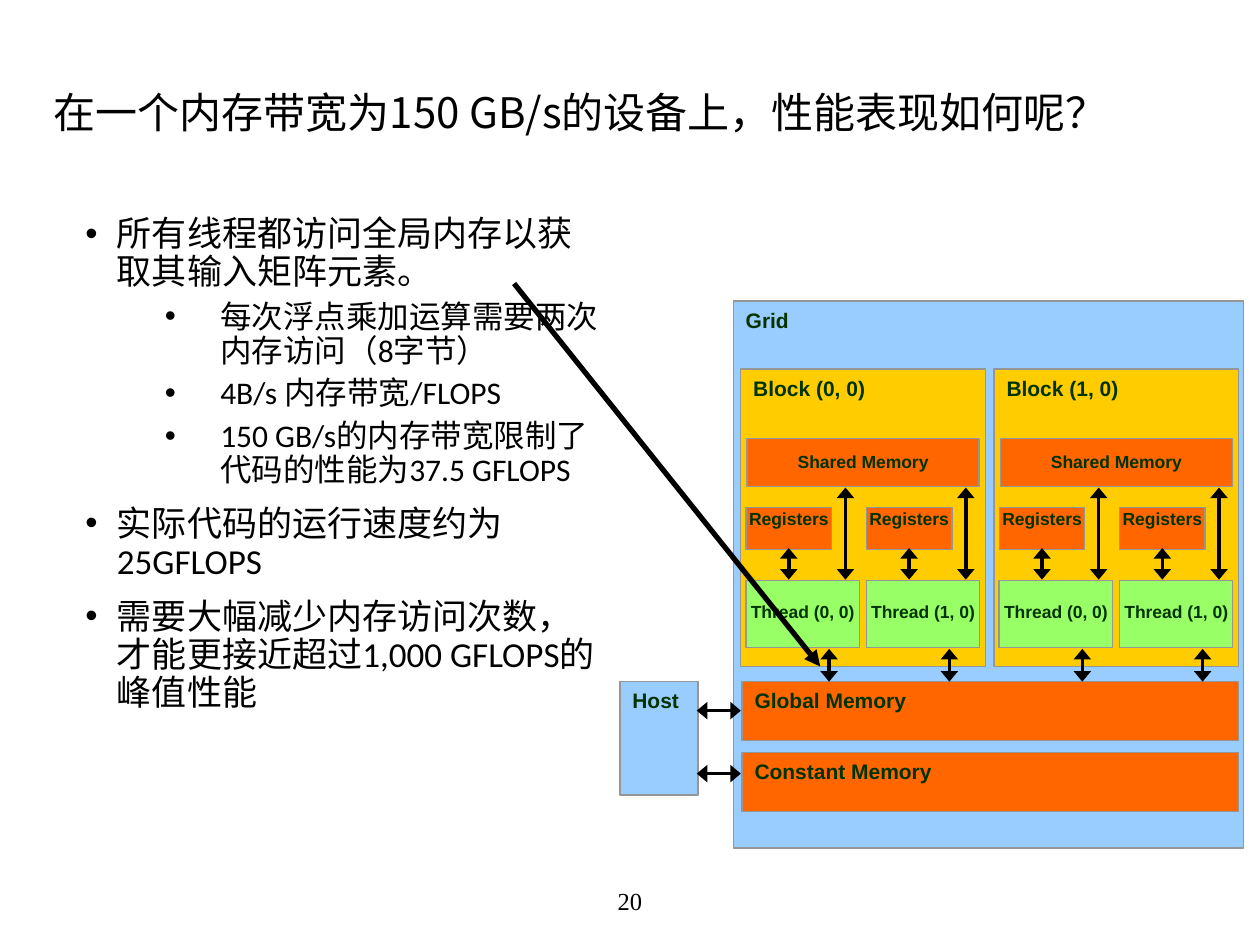
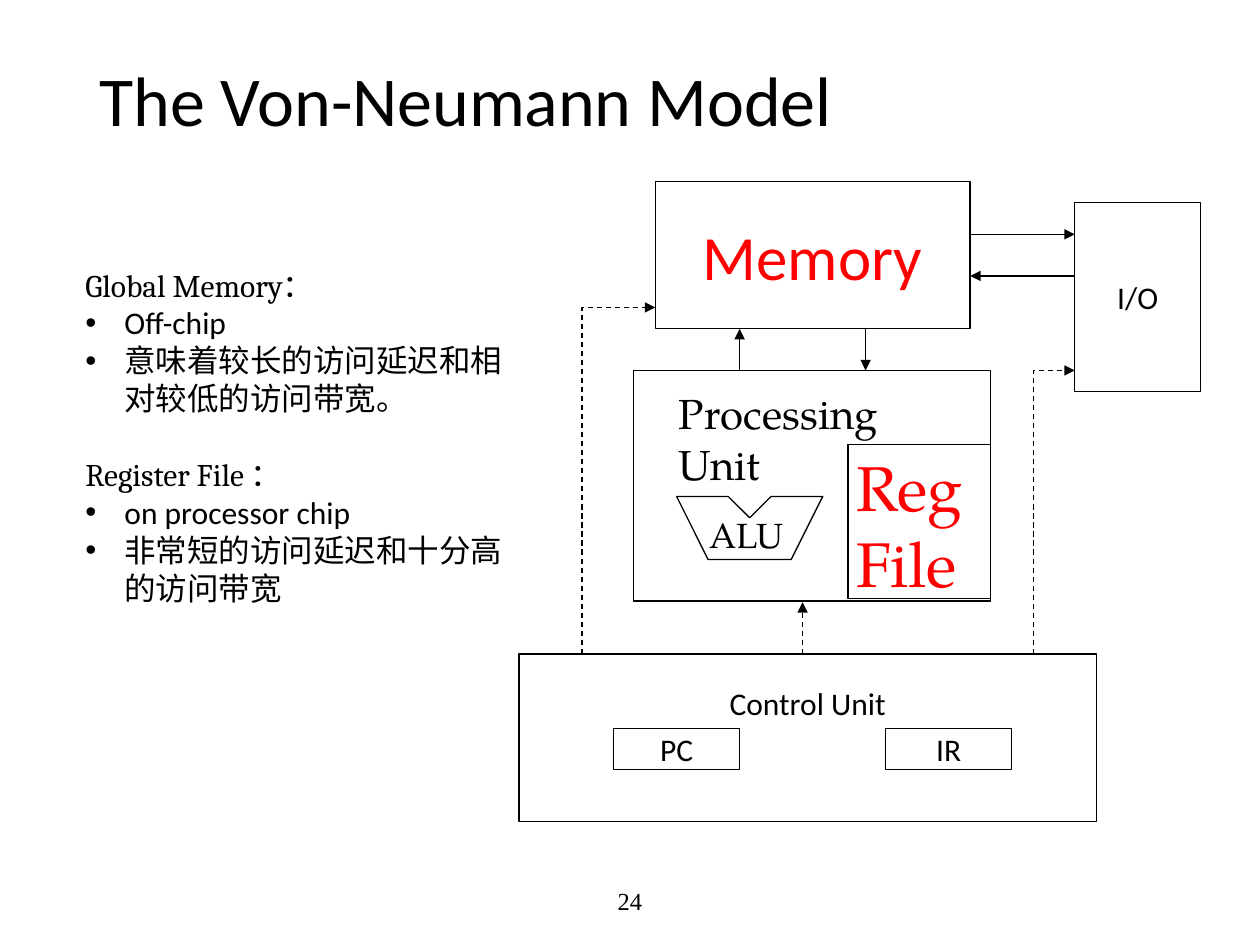
"""Build two slides on GPU memory bandwidth and the Von-Neumann model."""
from dataclasses import dataclass
from typing import NamedTuple, Optional

from lxml import etree
from pptx import Presentation
from pptx import util as u
from pptx.dml.color import RGBColor
from pptx.enum import dml, shapes, text
from pptx.oxml.ns import qn


@dataclass(frozen=True)
class Theme:
    black: str = "000000"
    red: str = "FF0000"
    label: str = "003300"
    outline: str = "969696"
    sky: str = "99CCFF"
    orange: str = "FF6600"
    gold: str = "FFCC00"
    green: str = "99FF66"
    sans: str = "Calibri"
    diagram: str = "Arial"
    serif: str = "TeX Gyre Pagella"
    heading: str = "Cambria"
    number: str = "Times New Roman"
    chinese: str = "Noto Sans CJK SC"
    tiny: int = 10
    small: int = 12
    footer: int = 14
    body: int = 18
    large: int = 20
    title: int = 24
    huge: int = 36
    display: int = 40


THEME = Theme()
CENTER = text.PP_ALIGN.CENTER
LEFT = text.PP_ALIGN.LEFT
TOP = text.MSO_ANCHOR.TOP
MIDDLE = text.MSO_ANCHOR.MIDDLE
DEFAULT_INSETS = (0.1, 0.05, 0.1, 0.05)


class Area(NamedTuple):
    left: float
    top: float
    width: float
    height: float


class Line(NamedTuple):
    x1: float
    y1: float
    x2: float
    y2: float


@dataclass(frozen=True)
class Style:
    size: int = THEME.body
    font: str = THEME.sans
    color: str = THEME.black
    bold: bool = False
    align: text.PP_ALIGN = LEFT
    spacing: Optional[float] = None
    before: int = 0
    level: int = 0
    margin: float = 0
    hanging: float = 0


@dataclass(frozen=True)
class Box:
    area: Area
    label: str
    fill: Optional[str]
    style: Style
    insets: tuple = DEFAULT_INSETS
    anchor: text.MSO_ANCHOR = TOP
    wrap: bool = True
    outline: str = THEME.outline


CAPTION = Style(THEME.small, THEME.diagram, THEME.label, True)
SMALL_CAPTION = Style(THEME.tiny, THEME.diagram, THEME.label, True, CENTER)
UNIT = Style(align=CENTER)
POINT = Style(THEME.large, spacing=0.9, before=10, margin=0.25, hanging=0.25)
SUBPOINT = Style(spacing=0.9, before=5, level=1, margin=1.07, hanging=0.44)
HEADING = Style(font=THEME.heading)
NEXT_HEADING = Style(font=THEME.heading, before=22)
NOTE = Style(margin=0.31, hanging=0.31)


def inches(values) -> list:
    return [u.Inches(value) for value in values]


def write(frame, items: list, anchor=TOP, wrap: bool = True, insets=DEFAULT_INSETS) -> None:
    frame.word_wrap = wrap
    frame.vertical_anchor = anchor
    frame.margin_left, frame.margin_top, frame.margin_right, frame.margin_bottom = inches(insets)
    for index, (content, style) in enumerate(items):
        paragraph = frame.add_paragraph() if index else frame.paragraphs[0]
        paragraph.text = content
        paragraph.alignment = style.align
        paragraph.level = style.level
        if style.spacing:
            paragraph.line_spacing = style.spacing
        if index:
            paragraph.space_before = u.Pt(style.before)
        if style.hanging:
            properties = paragraph._p.get_or_add_pPr()
            properties.set("marL", str(u.Inches(style.margin)))
            properties.set("indent", str(-u.Inches(style.hanging)))
            etree.SubElement(properties, qn("a:buFont"), typeface=THEME.diagram)
            etree.SubElement(properties, qn("a:buChar"), char="•")
        for run in paragraph.runs:
            run.font.size = u.Pt(style.size)
            run.font.name = style.font
            run.font.bold = style.bold
            run.font.color.rgb = RGBColor.from_string(style.color)
            latin = run._r.rPr.find(qn("a:latin"))
            latin.addnext(etree.Element(qn("a:ea"), typeface=THEME.chinese))


def add_text(slide, area: Area, items: list, anchor=TOP, wrap: bool = True) -> None:
    write(slide.shapes.add_textbox(*inches(area)).text_frame, items, anchor, wrap)


def finish(shape, fill: Optional[str], outline: str) -> None:
    shape.shadow.inherit = False
    if fill:
        shape.fill.solid()
        shape.fill.fore_color.rgb = RGBColor.from_string(fill)
    else:
        shape.fill.background()
    shape.line.color.rgb = RGBColor.from_string(outline)
    shape.line.width = u.Pt(0.75)


def add_box(slide, box: Box) -> None:
    shape = slide.shapes.add_shape(shapes.MSO_SHAPE.RECTANGLE, *inches(box.area))
    finish(shape, box.fill, box.outline)
    if box.label:
        write(shape.text_frame, [(box.label, box.style)], box.anchor, box.wrap, box.insets)


def add_arrow(slide, line: Line, width: float = 0.75, both: bool = False, dashed: bool = False):
    connector = slide.shapes.add_connector(shapes.MSO_CONNECTOR.STRAIGHT, *inches(line))
    connector.line.color.rgb = RGBColor.from_string(THEME.black)
    connector.line.width = u.Pt(width)
    if dashed:
        connector.line.dash_style = dml.MSO_LINE.DASH
    properties = connector._element.spPr
    for end in ("headEnd", "tailEnd") if both else ("tailEnd",):
        etree.SubElement(properties.find(qn("a:ln")), qn("a:" + end), type="triangle",
                         w="lg" if both else "med", len="med")
    etree.SubElement(properties, qn("a:effectLst"))
    return connector


def add_bent_arrow(slide, line: Line) -> None:
    """Draw a dashed arrow that goes up and then right."""
    center_x, center_y = (line.x1 + line.x2) / 2, (line.y1 + line.y2) / 2
    half_width, half_height = (line.y1 - line.y2) / 2, (line.x2 - line.x1) / 2
    unrotated = Line(center_x - half_width, center_y - half_height,
                     center_x + half_width, center_y + half_height)
    properties = add_arrow(slide, unrotated, dashed=True)._element.spPr
    properties.find(qn("a:xfrm")).set("rot", "16200000")
    properties.find(qn("a:prstGeom")).set("prst", "bentConnector2")


def add_slide(presentation, title: str, title_area: Area, style: Style, number: int):
    slide = presentation.slides.add_slide(presentation.slide_layouts[6])
    page = Style(THEME.footer, THEME.number, align=CENTER)
    add_text(slide, Area(3.31, 6.95, 3.38, 0.4), [(str(number), page)], MIDDLE)
    add_text(slide, title_area, [(title, style)], MIDDLE)
    return slide


def add_thread(slide, left: float, column: int) -> None:
    registers = Area(left + 0.04, 4.03, 0.68, 0.33)
    thread = Area(left + 0.04, 4.61, 0.9, 0.53)
    add_box(slide, Box(thread, f"Thread ({column}, 0)", THEME.green, SMALL_CAPTION, (0, 0.16, 0, 0)))
    add_box(slide, Box(registers, "Registers", THEME.orange, SMALL_CAPTION, (0, 0, 0, 0)))
    for offset, start, end in ((0.83, 4.6, 3.87), (0.38, 4.6, 4.35), (0.7, 5.15, 5.41)):
        add_arrow(slide, Line(left + offset, start, left + offset, end), 2, both=True)


def add_block(slide, column: int) -> None:
    left = 5.88 + 2.01 * column
    shared = Area(left + 0.05, 3.48, 1.84, 0.38)
    add_box(slide, Box(Area(left, 2.93, 1.94, 2.36), f"Block ({column}, 0)", THEME.gold, CAPTION))
    add_box(slide, Box(shared, "Shared Memory", THEME.orange, SMALL_CAPTION, (0, 0.1, 0, 0)))
    for thread in range(2):
        add_thread(slide, left + 0.955 * thread, thread)


def build_bandwidth_slide(presentation) -> None:
    slide = add_slide(presentation, "在一个内存带宽为150 GB/s的设备上，性能表现如何呢？",
                      Area(0.33, 0.33, 8.71, 1.17),
                      Style(THEME.title, THEME.chinese, spacing=0.9), 20)
    for area, label, fill in (
        (Area(5.82, 2.39, 4.05, 4.34), "Grid", THEME.sky),
        (Area(5.89, 5.41, 3.94, 0.47), "Global Memory", THEME.orange),
        (Area(5.89, 5.97, 3.94, 0.47), "Constant Memory", THEME.orange),
        (Area(4.92, 5.41, 0.62, 0.9), "Host", THEME.sky),
    ):
        add_box(slide, Box(area, label, fill, CAPTION))
    for column in range(2):
        add_block(slide, column)
    for y in (5.64, 6.14):
        add_arrow(slide, Line(5.53, y, 5.88, y), 2, both=True)
    add_text(slide, Area(0.58, 1.67, 4.31, 5), [
        ("所有线程都访问全局内存以获取其输入矩阵元素。", POINT),
        ("每次浮点乘加运算需要两次内存访问（8字节）", SUBPOINT),
        ("4B/s 内存带宽/FLOPS", SUBPOINT),
        ("150 GB/s的内存带宽限制了代码的性能为37.5 GFLOPS", SUBPOINT),
        ("实际代码的运行速度约为25GFLOPS", POINT),
        ("需要大幅减少内存访问次数，才能更接近超过1,000 GFLOPS的峰值性能", POINT),
    ])
    add_arrow(slide, Line(4.08, 2.25, 6.51, 5.29), 3)


def add_alu(slide) -> None:
    outline = [(5.37, 3.94), (5.78, 3.94), (5.95, 4.11), (6.12, 3.94),
               (6.53, 3.94), (6.28, 4.44), (5.62, 4.44)]
    points = [tuple(inches(point)) for point in outline]
    builder = slide.shapes.build_freeform(*points[0])
    builder.add_line_segments(points[1:], close=True)
    finish(builder.convert_to_shape(), None, THEME.black)
    add_text(slide, Area(5.53, 4.03, 0.81, 0.44),
             [("ALU", Style(THEME.large, THEME.serif))], wrap=False)


def build_von_neumann_slide(presentation) -> None:
    slide = add_slide(presentation, "The Von-Neumann Model", Area(0.69, 0.1, 8.62, 1.45),
                      Style(THEME.display, spacing=0.9), 24)
    memory_style = Style(THEME.huge, color=THEME.red, align=CENTER)
    for area, label, style in (
        (Area(5.2, 1.44, 2.5, 1.17), "Memory", memory_style),
        (Area(5.03, 2.94, 2.83, 1.83), "", UNIT),
        (Area(4.12, 5.19, 4.58, 1.33), "", UNIT),
        (Area(8.53, 1.61, 1, 1.5), "I/O", UNIT),
        (Area(6.73, 3.53, 1.13, 1.22), "", UNIT),
        (Area(4.87, 5.78, 1, 0.33), "PC", UNIT),
        (Area(7.03, 5.78, 1, 0.33), "IR", UNIT),
    ):
        add_box(slide, Box(area, label, None, style, anchor=MIDDLE, wrap=False,
                           outline=THEME.black))
    add_text(slide, Area(4.12, 5.38, 4.58, 0.4), [("Control Unit", UNIT)])
    add_alu(slide)
    register_style = Style(THEME.huge, THEME.serif, THEME.red)
    add_text(slide, Area(6.7, 3.51, 1.06, 1.31),
             [("Reg", register_style), ("File", register_style)], wrap=False)
    add_text(slide, Area(5.29, 3.03, 2.32, 0.5),
             [("Processing Unit", Style(THEME.title, THEME.serif))])
    for line in (Line(5.87, 2.94, 5.87, 2.61), Line(6.87, 2.61, 6.87, 2.94),
                 Line(7.7, 1.86, 8.53, 1.86), Line(8.53, 2.19, 7.7, 2.19)):
        add_arrow(slide, line)
    add_arrow(slide, Line(6.37, 5.19, 6.37, 4.78), dashed=True)
    for line in (Line(4.62, 5.19, 5.2, 2.44), Line(8.2, 5.19, 8.53, 2.94)):
        add_bent_arrow(slide, line)
    add_text(slide, Area(0.58, 2.06, 3.53, 2.83), [
        ("Global Memory：", HEADING),
        ("Off-chip", NOTE),
        ("意味着较长的访问延迟和相对较低的访问带宽。", NOTE),
        ("Register File ：", NEXT_HEADING),
        ("on processor chip", NOTE),
        ("非常短的访问延迟和十分高的访问带宽", NOTE),
    ])


def main() -> None:
    presentation = Presentation()
    presentation.slide_width, presentation.slide_height = u.Inches(10), u.Inches(7.5)
    build_bandwidth_slide(presentation)
    build_von_neumann_slide(presentation)
    presentation.save("out.pptx")


if __name__ == "__main__":
    main()
